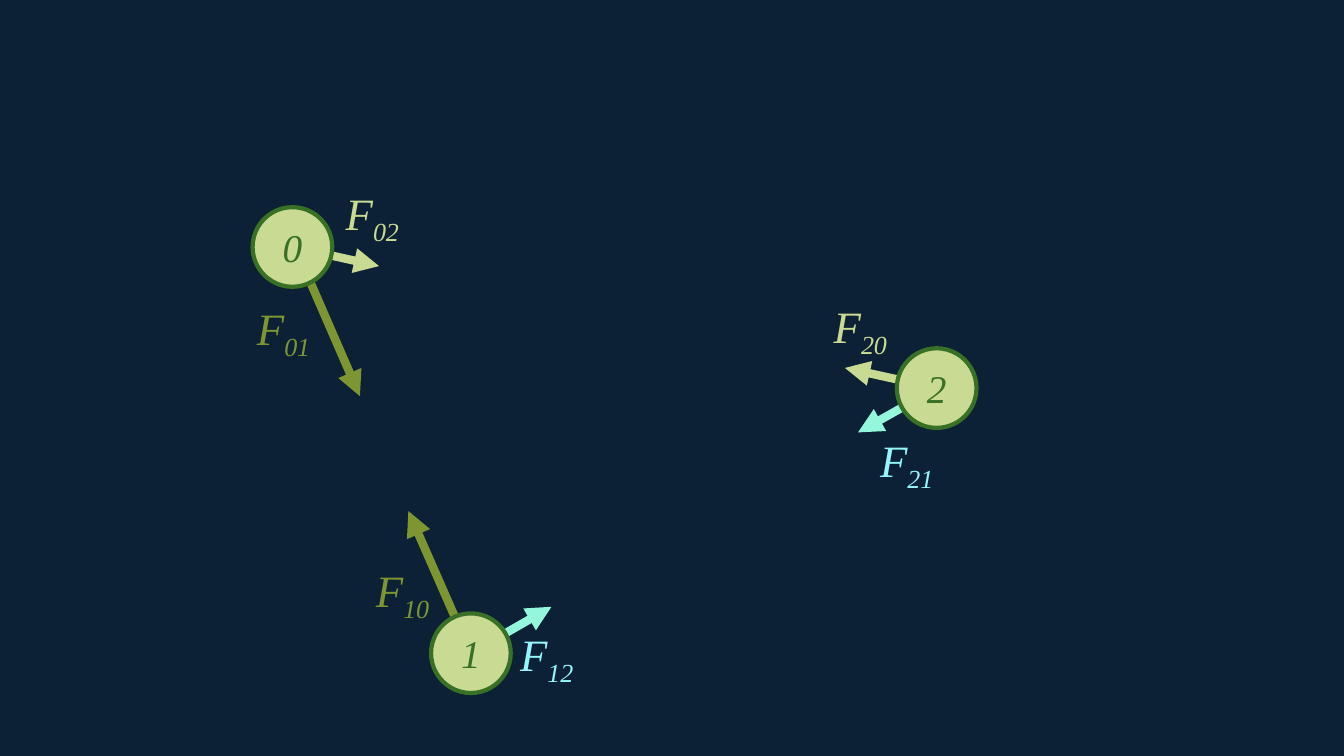
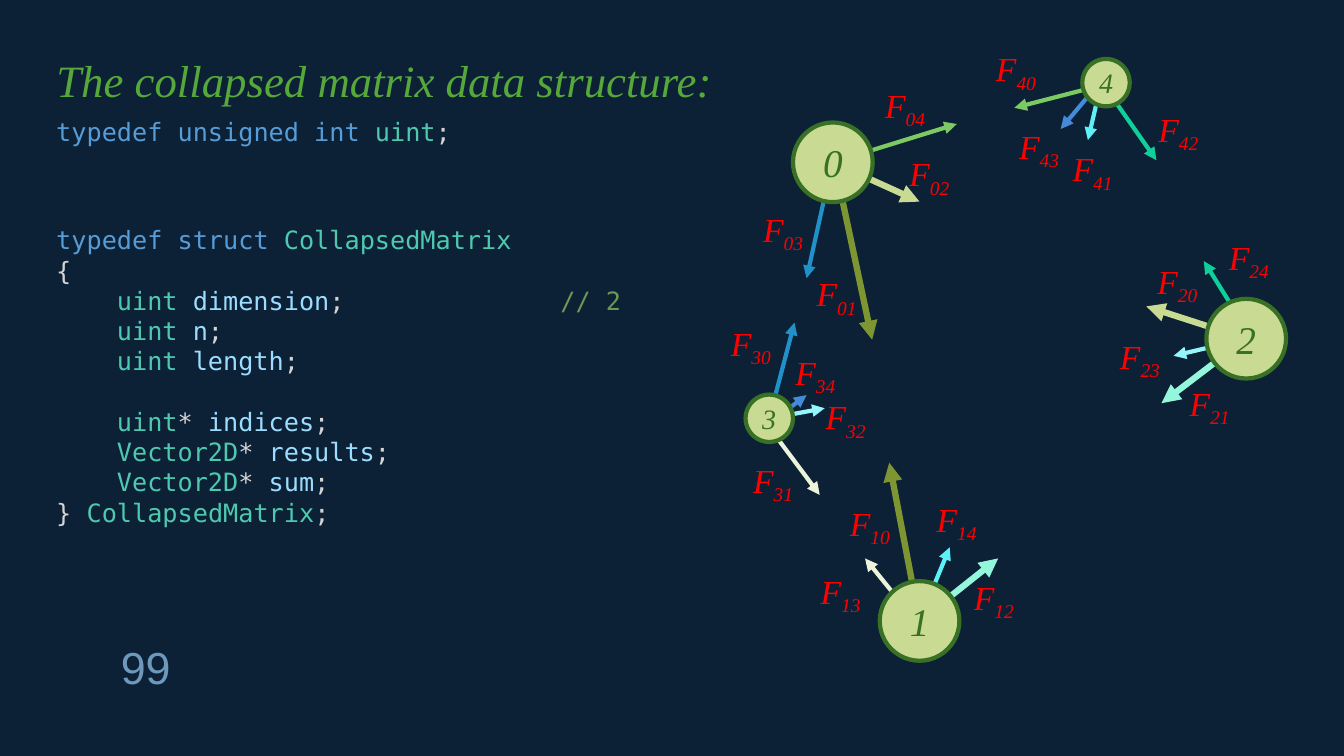
from dataclasses import dataclass

from lxml import etree
from pptx import Presentation
from pptx import util as u
from pptx.dml import color
from pptx.enum import shapes, text
from pptx.oxml import ns


@dataclass(frozen=True)
class Theme:
    background: str = "0C2036"
    particle: str = "C9DA92"
    outline: str = "387026"
    heading: str = "55A839"
    number: str = "6E99BD"
    label: str = "FF0000"
    aqua_label: str = "94F5FA"
    keyword: str = "569CD6"
    type_name: str = "4EC9B0"
    variable: str = "9CDCFE"
    plain: str = "D4D4D4"
    comment: str = "6A9955"
    serif: str = "Times New Roman"
    mono: str = "DejaVu Sans Mono"
    sans: str = "Arial"
    large: float = 32
    medium: float = 24
    code: float = 18
    code_line: float = 21.6


THEME = Theme()
PAIR_COLOURS = {
    "01": "7E9632", "02": "C9DA92", "03": "2191C9", "04": "7CCA62",
    "12": "94F7DC", "13": "EDF3DB", "14": "5EF0F7",
    "23": "94F5FA", "24": "10CF9B", "34": "448AD7",
}
BIG, SMALL = (0.79, 28), (0.47, 20)


@dataclass(frozen=True)
class Particle:
    name: str
    centre: tuple
    form: tuple = BIG


@dataclass(frozen=True)
class Force:
    name: str
    tip: tuple
    label: tuple
    nudge: tuple = (0, 0)

    @property
    def pair(self):
        return "".join(sorted(self.name))


THREE_PARTICLES = [
    Particle("0", (2.9, 2.45)),
    Particle("1", (4.67, 6.48)),
    Particle("2", (9.29, 3.85)),
]
THREE_FORCES = [
    Force("12", (5.47, 6.02), (5.06, 6.17)),
    Force("02", (3.76, 2.64), (3.33, 1.79)),
    Force("21", (8.51, 4.29), (8.63, 4.24)),
    Force("20", (8.38, 3.65), (8.17, 2.91)),
    Force("10", (4.05, 5.07), (3.63, 5.53)),
    Force("01", (3.57, 3.93), (2.45, 2.93), (0, -0.06)),
]
FIVE_PARTICLES = [
    Particle("0", (8.26, 1.61)),
    Particle("1", (9.12, 6.16)),
    Particle("2", (12.36, 3.36)),
    Particle("3", (7.63, 4.15), SMALL),
    Particle("4", (10.97, 0.82), SMALL),
]
FIVE_FORCES = [
    Force("14", (9.42, 5.43), (9.19, 4.9), (0.01, -0.03)),
    Force("13", (8.58, 5.54), (8.04, 5.61), (-0.03, 0.01)),
    Force("34", (8, 3.92), (7.79, 3.44), (0.04, 0.02)),
    Force("43", (10.52, 1.28), (10.01, 1.2), (-0.03, -0.04)),
    Force("23", (11.64, 3.53), (11.01, 3.28)),
    Force("24", (11.94, 2.59), (12.09, 2.3), (0.01, -0.08)),
    Force("42", (11.47, 1.59), (11.39, 1.03), (-0.04, 0)),
    Force("41", (10.79, 1.39), (10.54, 1.42), (-0.04, -0.03)),
    Force("40", (10.06, 1.07), (9.78, 0.43), (-0.02, 0.02)),
    Force("32", (8.18, 4.05), (8.09, 3.88), (0.06, -0.01)),
    Force("31", (8.13, 4.91), (7.37, 4.51), (-0.03, 0.05)),
    Force("30", (7.88, 3.2), (7.15, 3.15)),
    Force("04", (9.49, 1.23), (8.68, 0.79)),
    Force("03", (8, 2.76), (7.47, 2.02), (0, -0.02)),
    Force("12", (9.9, 5.54), (9.56, 5.67)),
    Force("02", (9.12, 2), (8.92, 1.47)),
    Force("21", (11.52, 4), (11.7, 3.75)),
    Force("20", (11.37, 3.04), (11.38, 2.54)),
    Force("10", (8.82, 4.59), (8.33, 4.94)),
    Force("01", (8.65, 3.37), (8, 2.66), (0, -0.07)),
]


def member(type_name, variable, star=""):
    return [("    ", THEME.plain), (type_name, THEME.type_name),
            (star + " ", THEME.plain), (variable, THEME.variable),
            (";", THEME.plain)]


TYPEDEF_CODE = [[("typedef unsigned int ", THEME.keyword),
                 ("uint", THEME.type_name), (";", THEME.plain)]]
STRUCT_HEAD = [
    [("typedef struct ", THEME.keyword), ("CollapsedMatrix", THEME.type_name)],
    [("{", THEME.plain)],
    member("uint", "dimension") + [("\t// 2", THEME.comment)],
    member("uint", "n"),
    member("uint", "length"),
]
STRUCT_TAIL = [
    member("uint", "indices", "*"),
    member("Vector2D", "results", "*"),
    member("Vector2D", "sum", "*"),
    [("} ", THEME.plain), ("CollapsedMatrix", THEME.type_name),
     (";", THEME.plain)],
]


def rgb(value):
    return color.RGBColor.from_string(value)


def set_attributes(target, values):
    for name, value in values.items():
        setattr(target, name, value)


def add_run(paragraph, content, colour, size, face=THEME.serif, italic=True):
    run = paragraph.add_run()
    run.text = content
    set_attributes(run.font, {"name": face, "size": u.Pt(size), "italic": italic})
    run.font.color.rgb = rgb(colour)
    return run


def add_text_box(slide, left, top, width, height):
    box = slide.shapes.add_textbox(*map(u.Inches, (left, top, width, height)))
    set_attributes(box.text_frame, {
        "word_wrap": True,
        "auto_size": text.MSO_AUTO_SIZE.SHAPE_TO_FIT_TEXT,
    })
    return box.text_frame


def add_particle(slide, particle):
    diameter, size = particle.form
    left, top = (value - diameter / 2 for value in particle.centre)
    shape = slide.shapes.add_shape(
        shapes.MSO_SHAPE.OVAL, *map(u.Inches, (left, top, diameter, diameter)))
    shape.shadow.inherit = False
    shape.fill.solid()
    shape.fill.fore_color.rgb = rgb(THEME.particle)
    shape.line.color.rgb = rgb(THEME.outline)
    shape.line.width = u.Pt(3)
    set_attributes(shape.text_frame, {
        "margin_left": 0, "margin_right": 0, "margin_top": 0,
        "margin_bottom": 0, "vertical_anchor": text.MSO_ANCHOR.MIDDLE,
    })
    paragraph = shape.text_frame.paragraphs[0]
    paragraph.alignment = text.PP_ALIGN.CENTER
    add_run(paragraph, particle.name, THEME.outline, size)


def add_arrow(slide, start, tip, colour, width):
    connector = slide.shapes.add_connector(
        shapes.MSO_CONNECTOR.STRAIGHT, *map(u.Inches, (*start, *tip)))
    connector.line.color.rgb = rgb(colour)
    connector.line.width = u.Pt(width)
    properties = connector.element.spPr
    line = properties.find(ns.qn("a:ln"))
    etree.SubElement(line, ns.qn("a:tailEnd"), type="triangle")
    etree.SubElement(properties, ns.qn("a:effectLst"))


def add_force_label(slide, force, colour, size):
    frame = add_text_box(slide, *force.label, 0.79, size / 72 * 1.2 + 0.1)
    paragraph = frame.paragraphs[0]
    add_run(paragraph, "F", colour, size)
    subscript = add_run(paragraph, force.name, colour, size)
    subscript.font._element.set("baseline", "-25000")


def add_diagram(slide, particles, forces, thick, label_size, label_colour):
    centres = {particle.name: particle.centre for particle in particles}
    for force in forces:
        start = [a + b for a, b in zip(centres[force.name[0]], force.nudge)]
        width = thick if set(force.name) <= set("012") else 3
        add_arrow(slide, start, force.tip, PAIR_COLOURS[force.pair], width)
    for particle in particles:
        add_particle(slide, particle)
    for force in forces:
        add_force_label(slide, force, label_colour(force), label_size)


def add_code(slide, place, *blocks):
    frame = add_text_box(slide, *place)
    lines = [(line, block is not blocks[0] and line is block[0])
             for block in blocks for line in block]
    for index, (line, opens_block) in enumerate(lines):
        paragraph = frame.add_paragraph() if index else frame.paragraphs[0]
        paragraph.line_spacing = u.Pt(THEME.code_line)
        if opens_block:
            paragraph.space_before = u.Pt(THEME.code_line)
        if any("\t" in content for content, _ in line):
            properties = paragraph._p.get_or_add_pPr()
            tabs = etree.SubElement(properties, ns.qn("a:tabLst"))
            etree.SubElement(tabs, ns.qn("a:tab"),
                             pos=str(u.Inches(5)), algn="l")
        for content, colour in line:
            add_run(paragraph, content, colour, THEME.code, THEME.mono, False)


def own_label_colour(force):
    return THEME.aqua_label if force.pair == "12" else PAIR_COLOURS[force.pair]


def build_three_bodies(slide):
    add_diagram(slide, THREE_PARTICLES, THREE_FORCES, 6, THEME.large,
                own_label_colour)


def build_collapsed_matrix(slide):
    heading = add_text_box(slide, 0.46, 0.47, 6.78, 0.64).paragraphs[0]
    add_run(heading, "The collapsed matrix data structure:", THEME.heading,
            THEME.large)
    add_code(slide, (0.46, 1.11, 6.67, 0.4), TYPEDEF_CODE)
    add_code(slide, (0.46, 2.18, 12.87, 3.13), STRUCT_HEAD, STRUCT_TAIL)
    number = add_text_box(slide, 1.1, 6.3, 0.77, 0.64).paragraphs[0]
    add_run(number, "99", THEME.number, THEME.large, THEME.sans, False)
    add_diagram(slide, FIVE_PARTICLES, FIVE_FORCES, 4.5, THEME.medium,
                lambda force: THEME.label)


def main():
    presentation = Presentation()
    set_attributes(presentation, {"slide_width": u.Inches(13.33),
                                  "slide_height": u.Inches(7.5)})
    background = presentation.slide_master.background.fill
    background.solid()
    background.fore_color.rgb = rgb(THEME.background)
    for build in (build_three_bodies, build_collapsed_matrix):
        build(presentation.slides.add_slide(presentation.slide_layouts[6]))
    presentation.save("out.pptx")


if __name__ == "__main__":
    main()
